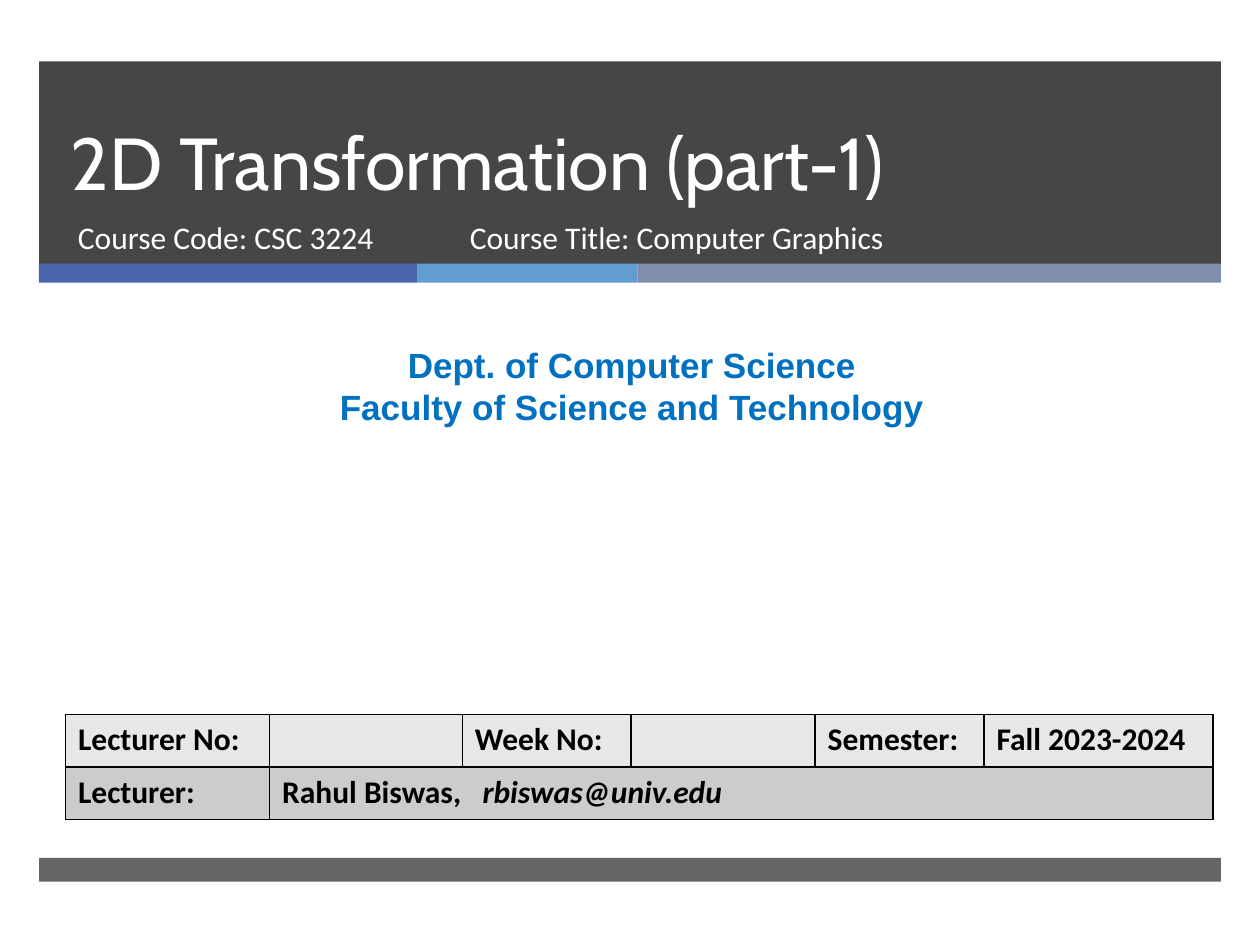
from itertools import accumulate
from lxml import etree
from pptx import Presentation
from pptx import util as u
from pptx.dml.color import RGBColor
from pptx.enum import shapes, text
from pptx.oxml import ns

THEME = {
    "dark": "262626", "white": "FFFFFF", "black": "000000", "blue": "0070C0",
    "stripes": ["4A66AC", "629DD1", "7F8FA9"], "rows": ["E7E7E7", "CCCCCC"],
    "title": 42, "heading": 20, "body": 18, "border": 1,
}
TITLE = "2D Transformation (part-1)"
COURSE = [("Course Code: CSC 3224", 5.2, 30.5), ("Course Title: Computer Graphics", 36.3, 45.5)]
DEPARTMENT = ["Dept. of Computer Science", "Faculty of Science and Technology"]
DETAILS = [
    ["Lecturer No:", "", "Week No:", "", "Semester:", "Fall 2023-2024"],
    ["Lecturer:", "Rahul Biswas,"],
]
EMAIL = "rbiswas@univ.edu"
EMAIL_TAB = 1.59

MARGIN, BAND = 3.1, 93.8
STRIPES = [3, 1.75, 4.63]
COLUMNS = [1.62, 1.53, 1.34, 1.46, 1.34, 1.82]
WHITE_BODY = {"size": THEME["body"], "name": "Calibri", "color": THEME["white"]}
CELL_FONT = {"size": THEME["body"], "name": "Calibri", "color": THEME["black"], "bold": True}

deck = Presentation()
deck.slide_width, deck.slide_height = u.Inches(10), u.Inches(7.5)
slide = deck.slides.add_slide(deck.slide_layouts[5])


def area(x, y, w, h):
    sides = [deck.slide_width, deck.slide_height] * 2
    return [round(share * side / 100) for share, side in zip((x, y, w, h), sides)]


def style(run, size, color, **formats):
    run.font.size = u.Pt(size)
    run.font.color.rgb = RGBColor.from_string(color)
    for key, value in formats.items():
        setattr(run.font, key, value)


def write(frame, lines, formats, align=text.PP_ALIGN.LEFT):
    frame.word_wrap = True
    for i, line in enumerate(lines):
        paragraph = frame.add_paragraph() if i else frame.paragraphs[0]
        paragraph.alignment = align
        run = paragraph.add_run()
        run.text = line
        style(run, **formats)


def bar(place, color, opacity=100):
    shape = slide.shapes.add_shape(shapes.MSO_SHAPE.RECTANGLE, *area(*place))
    shape.shadow.inherit = False
    shape.line.fill.background()
    shape.fill.solid()
    shape.fill.fore_color.rgb = RGBColor.from_string(color)
    if opacity < 100:
        tone = shape.fill._xPr.find(".//" + ns.qn("a:srgbClr"))
        etree.SubElement(tone, ns.qn("a:alpha"), val=str(opacity * 1000))


def label(place, lines, formats, align=text.PP_ALIGN.LEFT):
    write(slide.shapes.add_textbox(*area(*place)).text_frame, lines, formats, align)


def outline(cell):
    properties = cell._tc.get_or_add_tcPr()
    for i, side in enumerate(("lnL", "lnR", "lnT", "lnB")):
        line = etree.Element(ns.qn("a:" + side), w=str(u.Pt(THEME["border"])))
        fill = etree.SubElement(line, ns.qn("a:solidFill"))
        etree.SubElement(fill, ns.qn("a:srgbClr"), val=THEME["black"])
        properties.insert(i, line)


bar((MARGIN, 6.5, BAND, 21.5), THEME["dark"], 85)
starts = accumulate(STRIPES, initial=0)
for start, width, color in zip(starts, STRIPES, THEME["stripes"]):
    scale = BAND / sum(STRIPES)
    bar((MARGIN + start * scale, 27.9, width * scale, 2), color)
bar((MARGIN, 90.8, BAND, 2.5), THEME["dark"], 70)

heading = slide.shapes.title
heading.left, heading.top, heading.width, heading.height = area(4.6, 6.5, 85.4, 15.9)
write(heading.text_frame, [TITLE],
      {"size": THEME["title"], "name": "Cabin", "color": THEME["white"]})
heading.text_frame.auto_size = text.MSO_AUTO_SIZE.NONE
heading.text_frame.vertical_anchor = text.MSO_ANCHOR.BOTTOM
heading.text_frame.paragraphs[0].line_spacing = u.Pt(46)
slide.shapes._spTree.append(heading._element)

for line, left, width in COURSE:
    label((left, 22.4, width, 7), [line], WHITE_BODY)
label((0.8, 35.7, 98.7, 10.3), DEPARTMENT,
      {"size": THEME["heading"], "name": "Arial", "color": THEME["blue"], "bold": True},
      text.PP_ALIGN.CENTER)

details = slide.shapes.add_table(
    len(DETAILS), len(COLUMNS), *area(5.2, 75.6, 91.1, 11.1)).table
for column, width in zip(details.columns, COLUMNS):
    column.width = u.Inches(width)
for r, entries in enumerate(DETAILS):
    for c in range(len(COLUMNS)):
        cell = details.cell(r, c)
        cell.fill.solid()
        cell.fill.fore_color.rgb = RGBColor.from_string(THEME["rows"][r])
        outline(cell)
        if c < len(entries) and entries[c]:
            write(cell.text_frame, [entries[c]], CELL_FONT)
lecturer = details.cell(1, 1)
lecturer.merge(details.cell(1, len(COLUMNS) - 1))
contact = lecturer.text_frame.paragraphs[0]
tabs = etree.SubElement(contact._p.get_or_add_pPr(), ns.qn("a:tabLst"))
etree.SubElement(tabs, ns.qn("a:tab"), pos=str(u.Inches(EMAIL_TAB)), algn="l")
email = contact.add_run()
email.text = "\t" + EMAIL
style(email, **CELL_FONT, italic=True)

deck.save("out.pptx")
